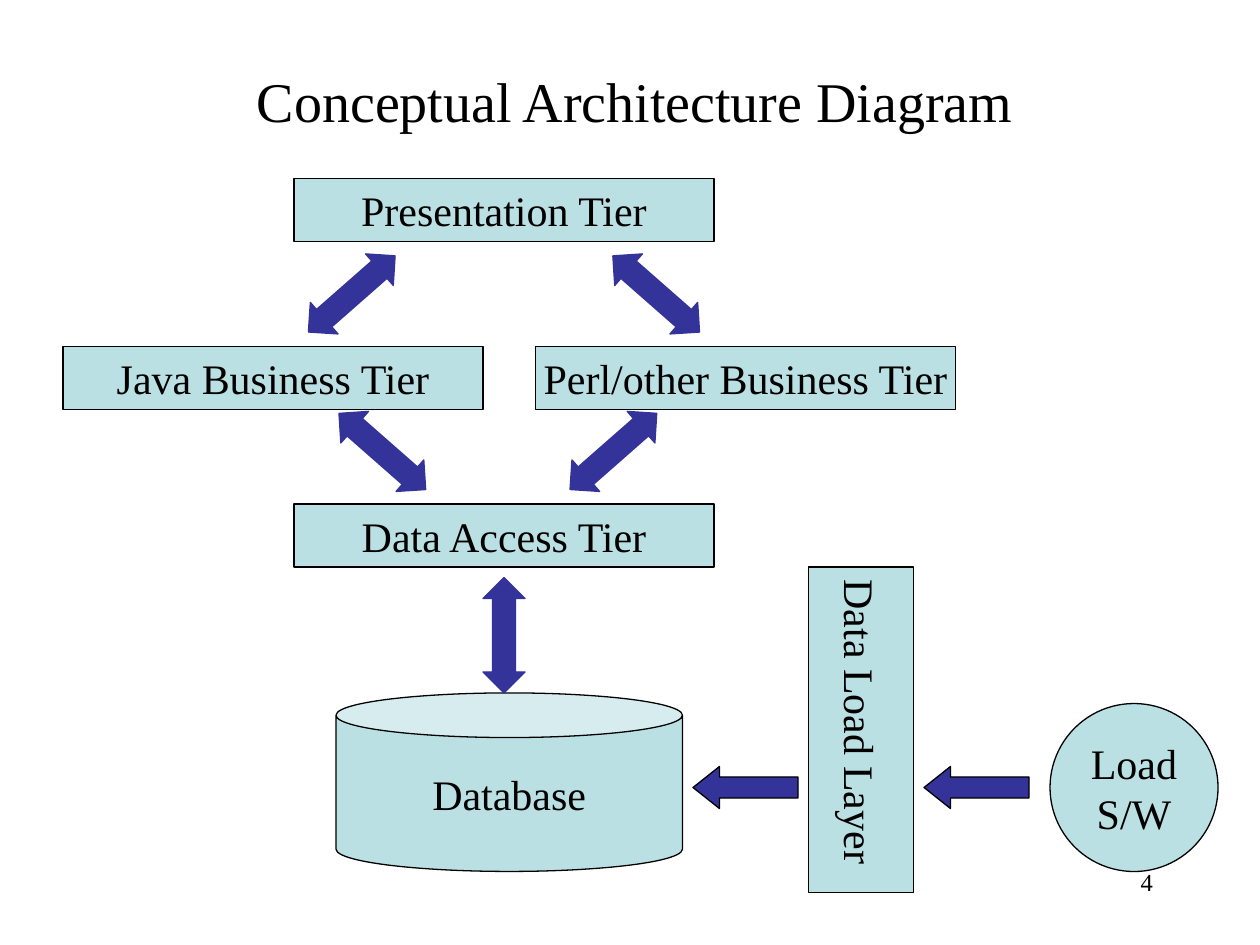
from pptx import Presentation
from pptx.dml.color import RGBColor
from pptx.enum import shapes, text
from pptx.util import Pt

COLORS = {"ink": "000000", "panel": "BBE0E3", "arrow": "333399"}
FONT = "Times New Roman"
KIND = shapes.MSO_SHAPE


def color(name):
    return RGBColor.from_string(COLORS[name])


def write(frame, words, size, align=text.PP_ALIGN.CENTER,
          anchor=text.MSO_ANCHOR.MIDDLE, wrap=False):
    frame.text = words
    frame.auto_size = text.MSO_AUTO_SIZE.NONE
    frame.word_wrap = wrap
    frame.vertical_anchor = anchor
    for paragraph in frame.paragraphs:
        paragraph.alignment = align
        for run in paragraph.runs:
            run.font.size = Pt(size)
            run.font.name = FONT
            run.font.color.rgb = color("ink")


def add_part(slide, kind, box, fill, line="ink"):
    part = slide.shapes.add_shape(kind, *map(Pt, box))
    part.shadow.inherit = False
    part.fill.solid()
    part.fill.fore_color.rgb = color(fill)
    part.line.color.rgb = color(line)
    part.line.width = Pt(0.75)
    return part


def add_component(slide, kind, box, words):
    component = add_part(slide, kind, box, "panel")
    write(component.text_frame, words, 24)
    return component


def add_two_way_arrow(slide, center_x, center_y, angle=0):
    width, height = 24, 66
    box = (center_x - width / 2, center_y - height / 2, width, height)
    arrow = add_part(slide, KIND.UP_DOWN_ARROW, box, "arrow", "arrow")
    arrow.adjustments[0] = 0.5
    arrow.adjustments[1] = 0.55
    arrow.rotation = angle


def add_load_arrow(slide, left, top):
    arrow = add_part(slide, KIND.LEFT_ARROW, (left, top, 60, 24), "arrow")
    arrow.adjustments[0] = 0.5
    arrow.adjustments[1] = 0.63


def place_title(slide, box):
    title = slide.shapes.title
    title.left, title.top, title.width, title.height = map(Pt, box)
    write(title.text_frame, "Conceptual Architecture Diagram", 32, wrap=True)


def place_tiers(slide, left, top):
    tiers = [
        ("Presentation Tier", 132, 0),
        ("Java Business Tier", 0, 96),
        ("Perl/other Business Tier", 270, 96),
        ("Data Access Tier", 132, 186),
    ]
    for name, dx, dy in tiers:
        add_component(slide, KIND.RECTANGLE, (left + dx, top + dy, 240, 36), name)
    add_component(slide, KIND.CAN, (left + 156, top + 294, 198, 102), "Database")

    links = [
        (165, 66, 48.7),
        (339, 66, -48.7),
        (182.5, 156, -48.7),
        (314.5, 156, 48.7),
        (252, 261, 0),
    ]
    for dx, dy, angle in links:
        add_two_way_arrow(slide, left + dx, top + dy, angle)


def place_loading(slide, left, top):
    layer = add_component(slide, KIND.RECTANGLE, (left + 66, top, 60, 186),
                          "Data Load Layer")
    frame = layer.text_frame
    frame.margin_left = frame.margin_right = Pt(3.6)
    frame.margin_top = frame.margin_bottom = Pt(7.2)
    layer.element.txBody.bodyPr.set("vert", "eaVert")
    for dx in (0, 132):
        add_load_arrow(slide, left + dx, top + 114)
    add_component(slide, KIND.OVAL, (left + 204, top + 78, 96, 96), "Load\nS/W")


def place_page_number(slide, box):
    number = slide.shapes.add_textbox(*map(Pt, box))
    write(number.text_frame, "4", 14, text.PP_ALIGN.RIGHT,
          text.MSO_ANCHOR.TOP, wrap=True)


def main():
    deck = Presentation()
    deck.slide_width, deck.slide_height = Pt(720), Pt(540)
    slide = deck.slides.add_slide(deck.slide_layouts[5])
    place_title(slide, (54, 12, 618, 90))
    place_tiers(slide, 36, 102)
    place_loading(slide, 396, 324)
    place_page_number(slide, (516, 492, 150, 36))
    deck.save("out.pptx")


if __name__ == "__main__":
    main()
